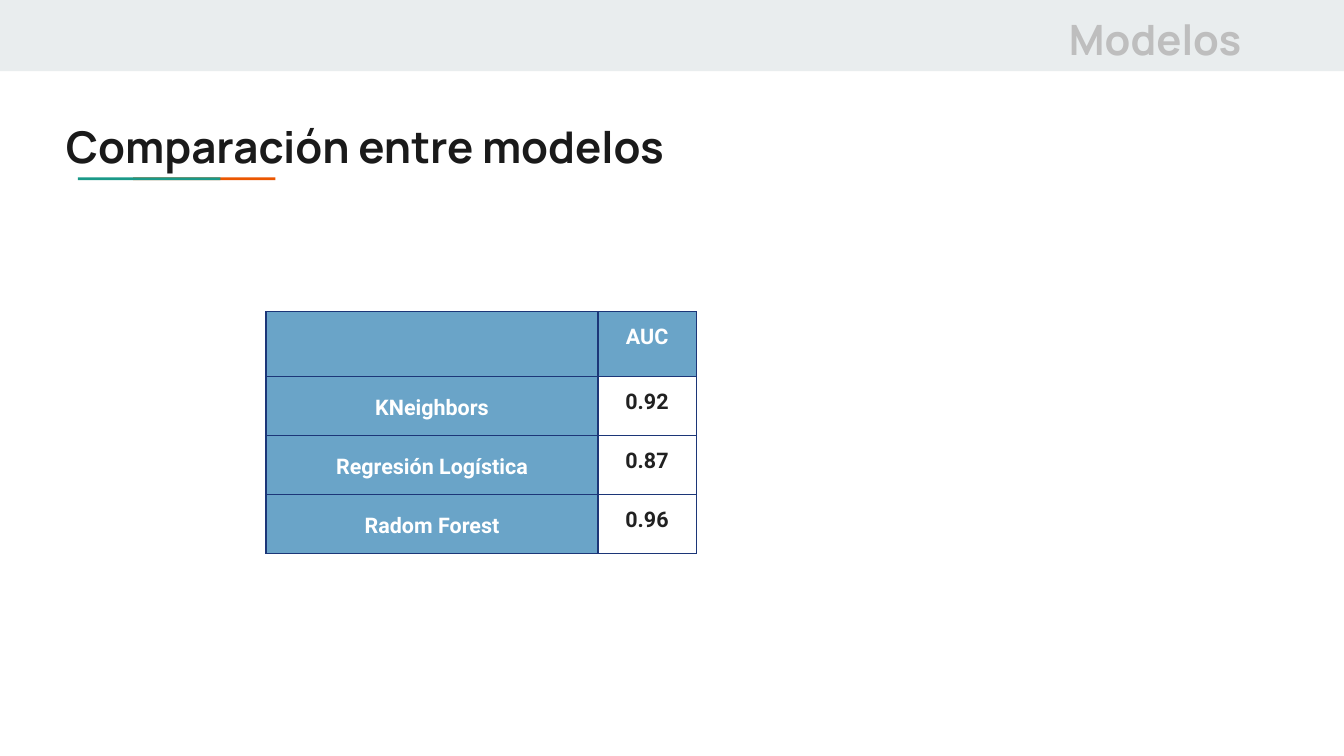
import pptx
import pptx.util
import pptx.dml.color
import pptx.enum.shapes
import pptx.enum.text
import pptx.oxml
import pptx.oxml.ns

Inches, Pt = pptx.util.Inches, pptx.util.Pt
ALIGN = pptx.enum.text.PP_ALIGN
ANCHOR = pptx.enum.text.MSO_ANCHOR

COLORS = {
    "band": "E9EDEE", "section": "BEBEBE", "title": "1A1A1A",
    "teal": "1A9988", "orange": "EB5600",
    "header": "6AA4C8", "border": "1C3678",
    "white": "FFFFFF", "value": "212121",
}
SCORES = [("KNeighbors", "0.92"), ("Regresión Logística", "0.87"), ("Radom Forest", "0.96")]


def rgb(name):
    return pptx.dml.color.RGBColor.from_string(COLORS[name])


def write(frame, text, font, size, color, align, spacing):
    para = frame.paragraphs[0]
    para.alignment = align
    para.line_spacing = spacing
    span = para.add_run()
    span.text = text
    span.font.name = font
    span.font.size = Pt(size)
    span.font.bold = True
    span.font.color.rgb = rgb(color)


def add_bar(slide, left, top, width, height, color):
    bar = slide.shapes.add_shape(
        pptx.enum.shapes.MSO_SHAPE.RECTANGLE,
        Inches(left), Inches(top), Inches(width), Inches(height))
    bar.shadow.inherit = False
    bar.fill.solid()
    bar.fill.fore_color.rgb = rgb(color)
    bar.line.fill.background()


def set_heading(box, text, size, color, align):
    frame = box.text_frame
    frame.word_wrap = True
    frame.auto_size = pptx.enum.text.MSO_AUTO_SIZE.NONE
    frame.vertical_anchor = ANCHOR.TOP
    frame.margin_left = frame.margin_right = Inches(0.1)
    frame.margin_top = frame.margin_bottom = Inches(0.1)
    write(frame, text, "Manrope", size, color, align, 1.0)


def add_section_band(slide, left, top, width, height):
    add_bar(slide, left, top, width, height, "band")
    box = slide.shapes.add_textbox(
        Inches(left + 7.82), Inches(top), Inches(1.55), Inches(height))
    set_heading(box, "Modelos", 22.4, "section", ALIGN.CENTER)


def add_title(slide, left, top, width, height):
    """Place the title and the two overlapping bars that underline it."""
    title = slide.shapes.title
    title.left, title.top = Inches(left), Inches(top)
    title.width, title.height = Inches(width), Inches(height)
    for offset, color in ((0.6, "orange"), (0.19, "teal")):
        add_bar(slide, left + offset, top + 0.53, 1.06, 0.02, color)
    set_heading(title, "Comparación entre modelos", 23.4, "title", ALIGN.LEFT)


def set_borders(cell):
    properties = cell._tc.get_or_add_tcPr()
    for index, side in enumerate(("lnL", "lnR", "lnT", "lnB")):
        properties.insert(index, pptx.oxml.parse_xml(
            f'<a:{side} {pptx.oxml.ns.nsdecls("a")} w="{Pt(0.75)}"><a:solidFill>'
            f'<a:srgbClr val="{COLORS["border"]}"/></a:solidFill></a:{side}>'))


def add_score_table(slide, left, top, widths, heights):
    rows = [("", "AUC"), *SCORES]
    table = slide.shapes.add_table(
        len(rows), len(widths), Inches(left), Inches(top),
        Inches(sum(widths)), Inches(sum(heights))).table
    table.first_row = table.horz_banding = False
    for column, width in zip(table.columns, widths):
        column.width = Inches(width)
    for row, height in zip(table.rows, heights):
        row.height = Inches(height)
    for r, texts in enumerate(rows):
        for c, text in enumerate(texts):
            cell = table.cell(r, c)
            is_value = r > 0 and c > 0
            cell.margin_left = cell.margin_right = Inches(0.07)
            cell.margin_top = cell.margin_bottom = Inches(0.07)
            cell.vertical_anchor = ANCHOR.MIDDLE if r > 0 and c == 0 else ANCHOR.TOP
            cell.fill.solid()
            cell.fill.fore_color.rgb = rgb("white" if is_value else "header")
            set_borders(cell)
            if text:
                write(cell.text_frame, text, "Roboto", 11.5,
                      "value" if is_value else "white", ALIGN.CENTER, 1.15)


def main():
    deck = pptx.Presentation()
    deck.slide_width = Inches(10)
    deck.slide_height = deck.slide_width * 9 // 16
    slide = deck.slides.add_slide(deck.slide_layouts.get_by_name("Title Only"))
    add_section_band(slide, 0, 0, 10, 0.53)
    add_title(slide, 0.39, 0.79, 8.41, 0.59)
    add_score_table(slide, 1.98, 2.32, (2.47, 0.73), (0.48, 0.44, 0.44, 0.44))
    deck.save("out.pptx")


if __name__ == "__main__":
    main()
